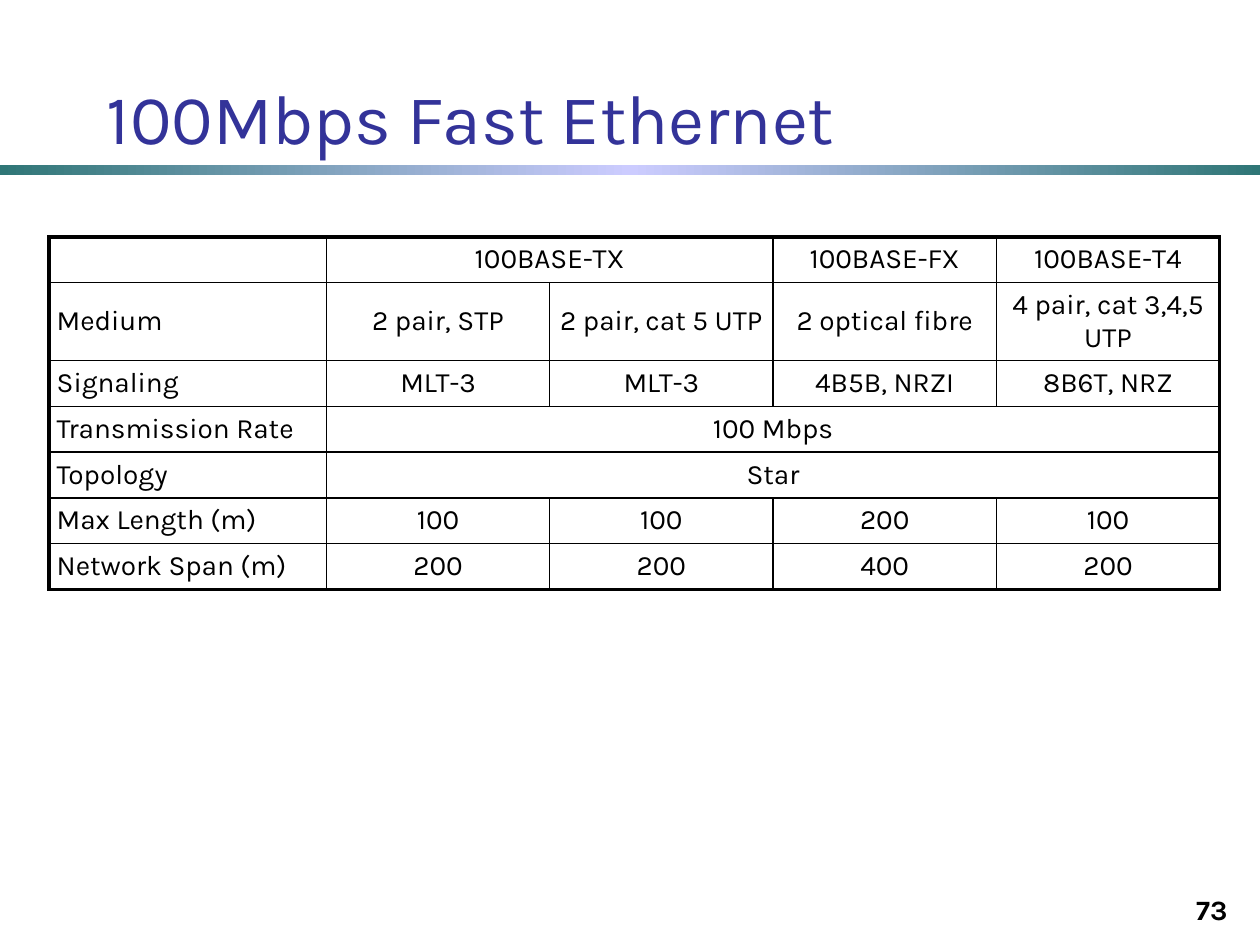
from copy import deepcopy

from lxml.etree import SubElement
from pptx import Presentation
from pptx.dml.color import RGBColor
from pptx.enum.shapes import MSO_SHAPE
from pptx.enum.text import MSO_ANCHOR, PP_ALIGN
from pptx.oxml import parse_xml
from pptx.oxml.ns import qn
from pptx.util import Inches, Pt

COLORS = {"title": "333399", "ink": "000000", "teal": "2F7676", "lilac": "CCCCFF"}
FONT = "Karla"
NAMESPACE = "http://schemas.openxmlformats.org/drawingml/2006/main"
LABEL_WIDTH = 2.2
TALL_ROW, TALL_HEIGHT = 1, 0.62
ROWS = [
    ["", "100BASE-TX", None, "100BASE-FX", "100BASE-T4"],
    ["Medium", "2 pair, STP", "2 pair, cat 5 UTP", "2 optical fibre", "4 pair, cat 3,4,5 UTP"],
    ["Signaling", "MLT-3", "MLT-3", "4B5B, NRZI", "8B6T, NRZ"],
    ["Transmission Rate", "100 Mbps", None, None, None],
    ["Topology", "Star", None, None, None],
    ["Max Length (m)", "100", "100", "200", "100"],
    ["Network Span (m)", "200", "200", "400", "200"],
]


def write_text(frame, text, size, color="ink", align=PP_ALIGN.LEFT, bold=False):
    """Write one formatted line into a text frame."""
    para = frame.paragraphs[0]
    para.alignment = align
    if not text:
        ending = SubElement(para._p, qn("a:endParaRPr"), sz=str(size * 100))
        SubElement(ending, qn("a:latin"), typeface=FONT)
        return
    span = para.add_run()
    span.text = text
    for name, value in {"name": FONT, "size": Pt(size), "bold": bold}.items():
        setattr(span.font, name, value)
    span.font.color.rgb = RGBColor.from_string(COLORS[color])


def add_text(page, bounds, text, **formats):
    """Place a bottom-anchored text box in the given bounds."""
    frame = page.shapes.add_textbox(*map(Inches, bounds)).text_frame
    frame.word_wrap = True
    frame.vertical_anchor = MSO_ANCHOR.BOTTOM
    write_text(frame, text, **formats)


def add_gradient_bar(page, bounds):
    """Draw the bar that fades from teal to lilac and back."""
    bar = page.shapes.add_shape(MSO_SHAPE.RECTANGLE, *map(Inches, bounds))
    bar.shadow.inherit = False
    bar.line.fill.background()
    bar.fill.gradient()
    bar.fill.gradient_angle = 0
    stop_list = next(bar._element.spPr.iter(qn("a:gsLst")))
    stop_list.append(deepcopy(stop_list[-1]))
    for stop, position, color in zip(
        bar.fill.gradient_stops, (0, 0.5, 1), ("teal", "lilac", "teal")
    ):
        stop.position = position
        stop.color.rgb = RGBColor.from_string(COLORS[color])


def set_borders(cell, outer_edges):
    """Draw heavy lines on outer edges and thin lines elsewhere."""
    properties = cell._tc.get_or_add_tcPr()
    for index, side in enumerate("LRTB"):
        width = Pt(2.25 if outer_edges[side] else 1)
        line = parse_xml(f'<a:ln{side} xmlns:a="{NAMESPACE}" w="{width}"/>')
        fill = SubElement(line, qn("a:solidFill"))
        SubElement(fill, qn("a:srgbClr"), val=COLORS["ink"])
        properties.insert(index, line)


def fill_cell(cell, text, align):
    """Set the margins, background and text of a cell."""
    formats = {
        "margin_left": Inches(0.06),
        "margin_right": Inches(0.06),
        "margin_top": Inches(0.04),
        "margin_bottom": Inches(0.04),
        "vertical_anchor": MSO_ANCHOR.MIDDLE,
    }
    for name, value in formats.items():
        setattr(cell, name, value)
    cell.fill.background()
    write_text(cell.text_frame, text, size=16, align=align)


def add_standards_table(page, bounds):
    """Build the table of Fast Ethernet variants."""
    row_count, column_count = len(ROWS), len(ROWS[0])
    width, height = bounds[2:]
    value_width = (width - LABEL_WIDTH) / (column_count - 1)
    row_height = (height - TALL_HEIGHT) / (row_count - 1)
    table = page.shapes.add_table(row_count, column_count, *map(Inches, bounds)).table
    table.first_row = table.horz_banding = False
    for index, column in enumerate(table.columns):
        column.width = Inches(value_width if index else LABEL_WIDTH)
    for index, row in enumerate(table.rows):
        row.height = Inches(TALL_HEIGHT if index == TALL_ROW else row_height)
    for row_index, values in enumerate(ROWS):
        if None in values:
            start = values.index(None) - 1
            end = start + values.count(None)
            table.cell(row_index, start).merge(table.cell(row_index, end))
        for column_index, value in enumerate(values):
            cell = table.cell(row_index, column_index)
            align = PP_ALIGN.CENTER if column_index else PP_ALIGN.LEFT
            fill_cell(cell, value or "", align)
            span_width = cell.span_width if cell.is_merge_origin else 1
            set_borders(cell, {
                "L": column_index == 0,
                "R": column_index + span_width == column_count,
                "T": row_index == 0,
                "B": row_index == row_count - 1,
            })


def main():
    """Build and save the slide."""
    deck = Presentation()
    deck.slide_width, deck.slide_height = Inches(10), Inches(7.5)
    page = deck.slides.add_slide(deck.slide_layouts[6])
    add_gradient_bar(page, (0, 1.31, 10, 0.08))
    add_text(page, (0.75, 0.36, 9.25, 0.95), "100Mbps Fast Ethernet", size=40, color="title")
    add_text(page, (7.76, 6.9, 2.08, 0.5), "73", size=16, align=PP_ALIGN.RIGHT, bold=True)
    add_standards_table(page, (0.39, 1.88, 9.29, 2.8))
    deck.save("out.pptx")


if __name__ == "__main__":
    main()
